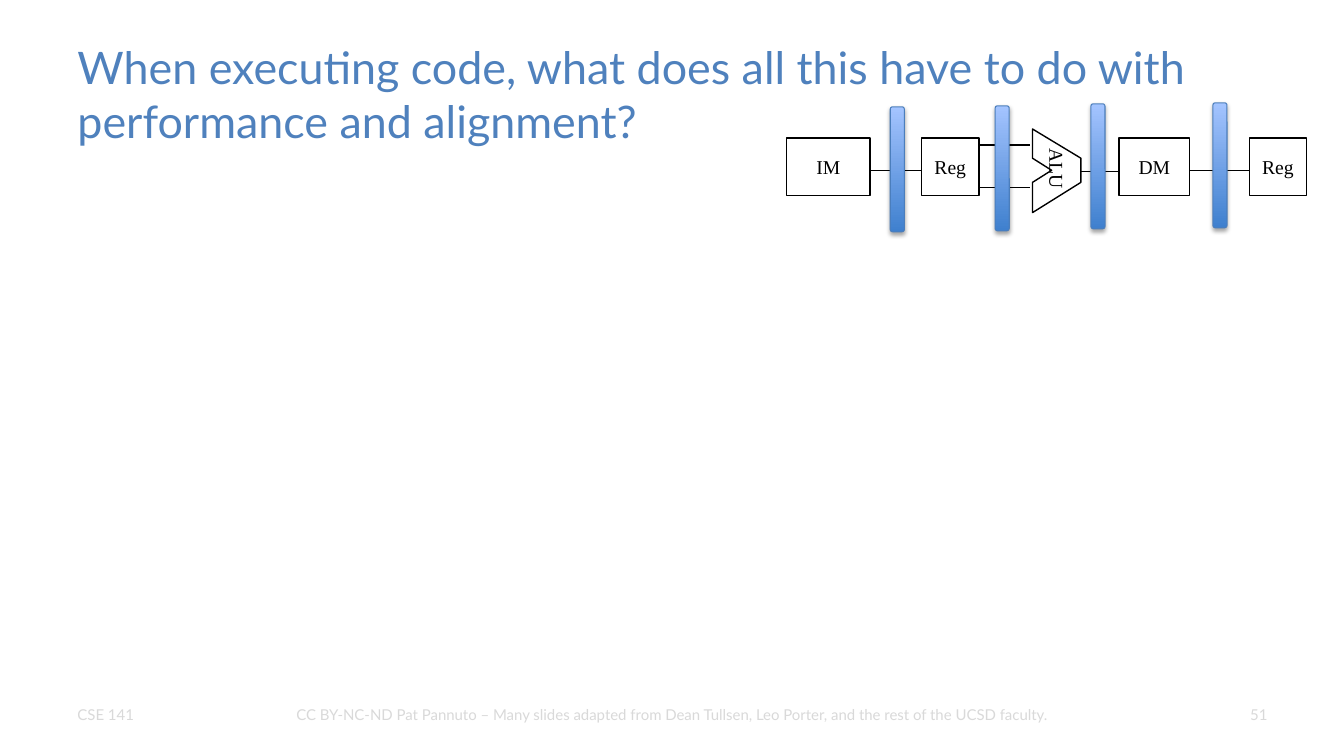
from typing import NamedTuple

from lxml import etree
from pptx import Presentation
from pptx import util as u
from pptx.dml.color import RGBColor
from pptx.enum import shapes, text
from pptx.oxml import parse_xml
from pptx.oxml.ns import nsdecls, qn

PX = 9144  # EMU in one px, at 100 px to the inch
BLACK, TITLE_BLUE, FOOTER_GREY = "000000", "4F81BD", "D9D9D9"
SERIF, SANS = "Times New Roman", "Lato"
ALIGN, ANCHOR = text.PP_ALIGN, text.MSO_ANCHOR


class Label(NamedTuple):
    words: str
    left: int
    top: int
    width: int
    height: int
    size: float
    font: str
    color: str
    align: text.PP_ALIGN = ALIGN.LEFT
    anchor: text.MSO_ANCHOR = ANCHOR.TOP
    wrap: bool = True
    inset: int = 10
    turn: int = 0


class Stage(NamedTuple):
    name: str
    left: int
    width: int


class Wire(NamedTuple):
    start: int
    end: int
    height: int


class Register(NamedTuple):
    left: int
    top: int


FOOTER = dict(top=695, height=28, size=10.7, font=SANS, color=FOOTER_GREY)
LABELS = [
    Label("CSE 141", left=67, width=200, **FOOTER),
    Label("CC BY-NC-ND Pat Pannuto – Many slides adapted from Dean Tullsen, "
          "Leo Porter, and the rest of the UCSD faculty.",
          left=267, width=800, align=ALIGN.CENTER, **FOOTER),
    Label("51", left=1067, width=200, align=ALIGN.RIGHT, **FOOTER),
    Label("When executing code, what does all this have to do with "
          "performance and alignment?",
          67, 30, 1200, 125, 32, SANS, TITLE_BLUE, anchor=ANCHOR.MIDDLE),
    Label("ALU", 1011, 144, 75, 33, 14, SERIF, BLACK,
          wrap=False, inset=24, turn=90),
]
STAGES = [Stage("IM", 780, 83), Stage("Reg", 914, 57),
          Stage("DM", 1110, 70), Stage("Reg", 1239, 57)]
STAGE_TOP, STAGE_HEIGHT = 137, 57
ALU_OUTLINE = [(1024, 128), (1072, 157), (1072, 181), (1024, 211),
               (1024, 181), (1043, 169), (1024, 157)]
WIRES = [Wire(864, 914, 169), Wire(972, 1022, 144), Wire(972, 1022, 186),
         Wire(1072, 1110, 170), Wire(1180, 1239, 169)]
REGISTERS = [Register(883, 106), Register(987, 105),
             Register(1082, 103), Register(1203, 102)]
REGISTER_WIDTH, REGISTER_HEIGHT = 14, 124
REGISTER_GRADIENT = [(0, "3F80CE"), (1, "A4C4FF")]
REGISTER_SHADOW = (
    f'<a:effectLst {nsdecls("a")}><a:outerShdw blurRad="39370" dist="22860" '
    'dir="5400000" rotWithShape="0"><a:srgbClr val="000000">'
    '<a:alpha val="35000"/></a:srgbClr></a:outerShdw></a:effectLst>')


def rgb(color: str) -> RGBColor:
    return RGBColor.from_string(color)


def px(*lengths: int) -> list[int]:
    return [length * PX for length in lengths]


def set_line(shape, color: str = BLACK, width: float = 1) -> None:
    shape.line.color.rgb = rgb(color)
    shape.line.width = u.Pt(width)


def write(shape, label: Label) -> None:
    """Put the label's words into the shape, with its text format."""
    frame = shape.text_frame
    frame_format = dict(word_wrap=label.wrap, vertical_anchor=label.anchor,
                        margin_left=label.inset * PX)
    for name, value in frame_format.items():
        setattr(frame, name, value)
    para = frame.paragraphs[0]
    para.alignment = label.align
    span = para.add_run()
    span.text = label.words
    font_format = dict(name=label.font, size=u.Pt(label.size), bold=False)
    for name, value in font_format.items():
        setattr(span.font, name, value)
    span.font.color.rgb = rgb(label.color)


def draw_label(page, label: Label) -> None:
    box = page.shapes.add_textbox(
        *px(label.left, label.top, label.width, label.height))
    box.rotation = label.turn
    write(box, label)


def draw_stage(page, stage: Stage) -> None:
    frame = (stage.left, STAGE_TOP, stage.width, STAGE_HEIGHT)
    box = page.shapes.add_shape(shapes.MSO_SHAPE.RECTANGLE, *px(*frame))
    box.shadow.inherit = False
    box.fill.background()
    set_line(box)
    write(box, Label(stage.name, *frame, 14, SERIF, BLACK,
                     ALIGN.CENTER, ANCHOR.MIDDLE, wrap=False))


def draw_alu(page) -> None:
    builder = page.shapes.build_freeform(*ALU_OUTLINE[0], scale=PX)
    builder.add_line_segments(ALU_OUTLINE[1:], close=True)
    alu = builder.convert_to_shape()
    alu.shadow.inherit = False
    alu.fill.background()
    set_line(alu)


def draw_wire(page, wire: Wire) -> None:
    line = page.shapes.add_connector(
        shapes.MSO_CONNECTOR.STRAIGHT,
        *px(wire.start, wire.height, wire.end, wire.height))
    set_line(line)
    etree.SubElement(line.element.spPr, qn("a:effectLst"))


def draw_register(page, register: Register) -> None:
    bar = page.shapes.add_shape(
        shapes.MSO_SHAPE.ROUNDED_RECTANGLE,
        *px(register.left, register.top, REGISTER_WIDTH, REGISTER_HEIGHT))
    bar.fill.gradient()
    bar.fill.gradient_angle = 90
    for stop, (position, color) in zip(bar.fill.gradient_stops,
                                       REGISTER_GRADIENT):
        stop.position = position
        stop.color.rgb = rgb(color)
    set_line(bar, "4B7EBC", 0.75)
    bar.element.spPr.append(parse_xml(REGISTER_SHADOW))


def main() -> None:
    deck = Presentation()
    deck.slide_width, deck.slide_height = px(1333, 750)
    page = deck.slides.add_slide(deck.slide_layouts[6])
    for label in LABELS:
        draw_label(page, label)
    for stage in STAGES:
        draw_stage(page, stage)
    draw_alu(page)
    for wire in WIRES:
        draw_wire(page, wire)
    for register in REGISTERS:
        draw_register(page, register)
    deck.save("out.pptx")


if __name__ == "__main__":
    main()
